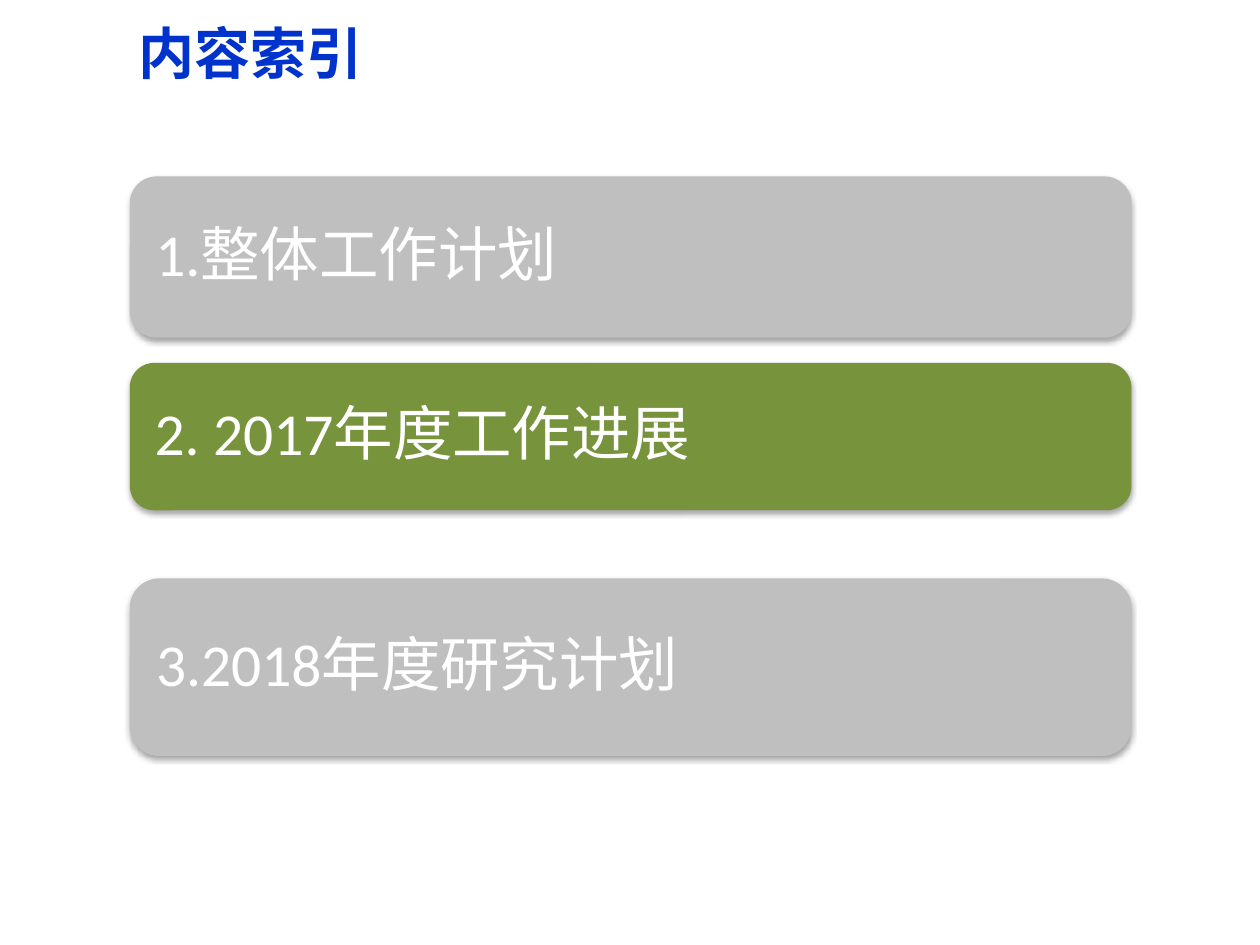
from lxml import etree
from pptx import Presentation
from pptx import util as u
from pptx.dml.color import RGBColor
from pptx.enum import shapes, text
from pptx.oxml import parse_xml
from pptx.oxml.ns import nsdecls, qn

COLORS = {"title": "0033CC", "muted": "BFBFBF", "current": "77933C",
          "label": "FFFFFF", "shadow": "000000"}
CJK_FONT = "Noto Sans CJK SC"
TITLE_FONT = {"name": CJK_FONT, "size": u.Pt(32), "bold": True}
LABEL_FONT = {"name": "Calibri", "size": u.Pt(34), "bold": False}
BAR_FRAME = {f"margin_{side}": u.Inches(0.14)
             for side in ("left", "top", "right", "bottom")}

SECTIONS = [  # label, top and height in inches, fill
    ("1.整体工作计划", 1.4, 1.28, "muted"),
    ("2. 2017年度工作进展", 2.88, 1.17, "current"),
    ("3.2018年度研究计划", 4.59, 1.41, "muted"),
]


def apply(target, values):
    for name, value in values.items():
        setattr(target, name, value)


def write(frame, wording, font, color, frame_format):
    """Put one left-aligned, vertically centred line in the frame."""
    apply(frame, {"word_wrap": True,
                  "vertical_anchor": text.MSO_ANCHOR.MIDDLE, **frame_format})
    paragraph = frame.paragraphs[0]
    paragraph.alignment = text.PP_ALIGN.LEFT
    run = paragraph.add_run()
    run.text = wording
    apply(run.font, font)
    run.font.color.rgb = RGBColor.from_string(COLORS[color])
    east_asian = etree.SubElement(run.font._element, qn("a:ea"))
    east_asian.set("typeface", CJK_FONT)
    return paragraph


def add_soft_shadow(shape):
    shape._element.spPr.append(parse_xml(
        f'<a:effectLst {nsdecls("a")}>'
        f'<a:outerShdw blurRad="{u.Pt(3.1)}" dist="{u.Pt(1.8)}" dir="5400000" rotWithShape="0">'
        f'<a:srgbClr val="{COLORS["shadow"]}"><a:alpha val="35000"/></a:srgbClr>'
        '</a:outerShdw></a:effectLst>'))


def add_title(slide, left, top, width, height):
    title = slide.shapes.add_textbox(left, top, width, height)
    write(title.text_frame, "内容索引", TITLE_FONT, "title", {})


def add_section_bar(slide, left, top, width, height, label, fill):
    bar = slide.shapes.add_shape(
        shapes.MSO_SHAPE.ROUNDED_RECTANGLE, left, top, width, height)
    bar.fill.solid()
    bar.fill.fore_color.rgb = RGBColor.from_string(COLORS[fill])
    bar.line.fill.background()
    add_soft_shadow(bar)
    line = write(bar.text_frame, label, LABEL_FONT, "label", BAR_FRAME)
    line.line_spacing = 0.9


def add_index(slide, left, width):
    for label, top, height, fill in SECTIONS:
        add_section_bar(slide, left, u.Inches(top), width, u.Inches(height),
                        label, fill)


def main():
    deck = Presentation()
    deck.slide_width, deck.slide_height = u.Inches(10), u.Inches(7.5)
    slide = deck.slides.add_slide(deck.slide_layouts[6])
    add_title(slide, u.Inches(1), u.Inches(-0.02), u.Inches(9), u.Inches(0.87))
    add_index(slide, u.Inches(1.03), u.Inches(7.95))
    deck.save("out.pptx")


if __name__ == "__main__":
    main()
